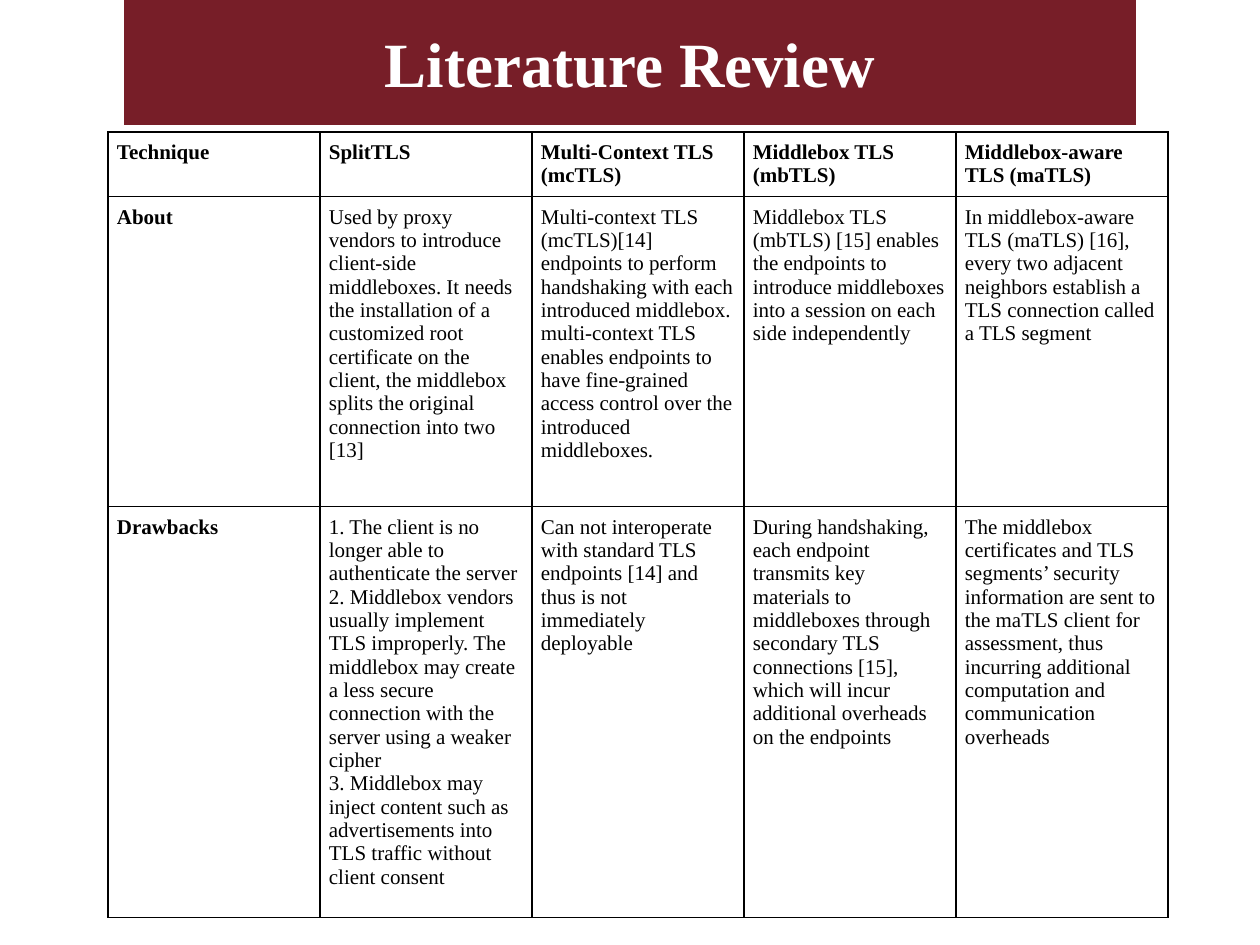
from typing import NamedTuple

from lxml.etree import SubElement
from pptx import Presentation
from pptx.dml.color import RGBColor
from pptx.enum.text import MSO_ANCHOR, MSO_AUTO_SIZE, PP_ALIGN
from pptx.oxml.ns import qn
from pptx.util import Emu, Pt

PX_PER_INCH = 126
FONT = "Times New Roman"
MAROON, WHITE, BLACK = "771E28", "FFFFFF", "000000"
COLUMN_WIDTH = 212
ROW_HEIGHTS = (64, 310, 411)
CELL_MARGIN = 9


class Box(NamedTuple):
    left: int
    top: int
    width: int
    height: int


class Technique(NamedTuple):
    name: str
    about: str
    drawbacks: tuple[str, ...]


TITLE_BOX = Box(124, 0, 1012, 125)
ROW_LABELS = Technique("Technique", "About", ("Drawbacks",))
TECHNIQUES = (
    Technique(
        "SplitTLS",
        "Used by proxy vendors to introduce client-side middleboxes. It needs the "
        "installation of a customized root certificate on the client, the middlebox "
        "splits the original connection into two [13]",
        (
            "1. The client is no longer able to authenticate the server",
            "2. Middlebox vendors usually implement TLS improperly. The middlebox may "
            "create a less secure connection with the server using a weaker cipher",
            "3. Middlebox may inject content such as advertisements into TLS traffic "
            "without client consent",
        ),
    ),
    Technique(
        "Multi-Context TLS (mcTLS)",
        "Multi-context TLS (mcTLS)[14] endpoints to perform handshaking with each "
        "introduced middlebox. multi-context TLS enables endpoints to have "
        "fine-grained access control over the introduced middleboxes.",
        (
            "Can not interoperate with standard TLS endpoints [14] and thus is not "
            "immediately deployable",
        ),
    ),
    Technique(
        "Middlebox TLS (mbTLS)",
        "Middlebox TLS (mbTLS) [15] enables the endpoints to introduce middleboxes "
        "into a session on each side independently",
        (
            "During handshaking, each endpoint transmits key materials to middleboxes "
            "through secondary TLS connections [15], which will incur additional "
            "overheads on the endpoints",
        ),
    ),
    Technique(
        "Middlebox-aware TLS (maTLS)",
        "In middlebox-aware TLS (maTLS) [16], every two adjacent neighbors establish "
        "a TLS connection called a TLS segment",
        (
            "The middlebox certificates and TLS segments’ security information are "
            "sent to the maTLS client for assessment, thus incurring additional "
            "computation and communication overheads",
        ),
    ),
)
COLUMNS = (ROW_LABELS, *TECHNIQUES)
TABLE_BOX = Box(108, 132, COLUMN_WIDTH * len(COLUMNS), sum(ROW_HEIGHTS))


def px(length: int) -> Emu:
    return Emu(round(length * 914400 / PX_PER_INCH))


def color(value: str) -> RGBColor:
    return RGBColor.from_string(value)


def add_run(paragraph, text: str, size: int, hex_color: str, bold: bool) -> None:
    run = paragraph.add_run()
    run.text = text
    run.font.name = FONT
    run.font.size = Pt(size)
    run.font.bold = bold
    run.font.color.rgb = color(hex_color)


def add_borders(cell, hex_color: str, width: int) -> None:
    properties = cell._tc.get_or_add_tcPr()
    for side in ("lnL", "lnR", "lnT", "lnB"):
        line = SubElement(properties, qn(f"a:{side}"), w=str(Pt(width)))
        fill = SubElement(line, qn("a:solidFill"))
        SubElement(fill, qn("a:srgbClr"), val=hex_color)


def fill_cell(cell, paragraphs: tuple[str, ...], bold: bool) -> None:
    cell.margin_left = cell.margin_right = px(CELL_MARGIN)
    cell.margin_top = cell.margin_bottom = px(CELL_MARGIN)
    add_borders(cell, BLACK, 1)
    cell.fill.background()
    frame = cell.text_frame
    for index, text in enumerate(paragraphs):
        paragraph = frame.add_paragraph() if index else frame.paragraphs[0]
        add_run(paragraph, text, 12, BLACK, bold)


def format_title(title) -> None:
    title.left, title.top, title.width, title.height = map(px, TITLE_BOX)
    title.fill.solid()
    title.fill.fore_color.rgb = color(MAROON)
    frame = title.text_frame
    frame.auto_size = MSO_AUTO_SIZE.NONE
    frame.vertical_anchor = MSO_ANCHOR.MIDDLE
    paragraph = frame.paragraphs[0]
    paragraph.alignment = PP_ALIGN.CENTER
    add_run(paragraph, "Literature Review", 36, WHITE, True)


def add_review_table(slide) -> None:
    shape = slide.shapes.add_table(len(ROW_HEIGHTS), len(COLUMNS), *map(px, TABLE_BOX))
    table = shape.table
    table.first_row = table.horz_banding = False
    for row, height in zip(table.rows, ROW_HEIGHTS):
        row.height = px(height)
    for column_index, technique in enumerate(COLUMNS):
        table.columns[column_index].width = px(COLUMN_WIDTH)
        contents = ((technique.name,), (technique.about,), technique.drawbacks)
        for row_index, paragraphs in enumerate(contents):
            is_heading = row_index == 0 or column_index == 0
            fill_cell(table.cell(row_index, column_index), paragraphs, is_heading)


def main() -> None:
    presentation = Presentation()
    presentation.slide_width = px(1260)
    presentation.slide_height = px(945)
    slide = presentation.slides.add_slide(presentation.slide_layouts[5])
    format_title(slide.shapes.title)
    add_review_table(slide)
    presentation.save("out.pptx")


if __name__ == "__main__":
    main()
